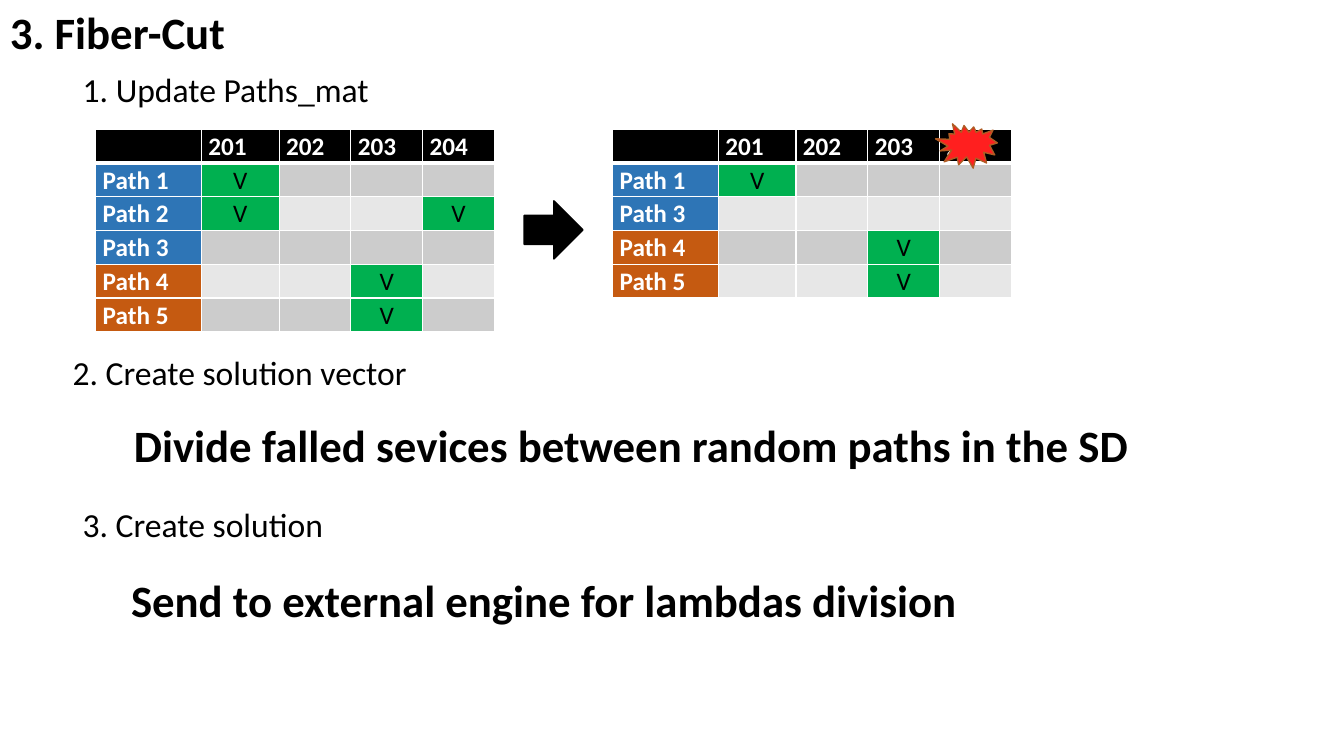
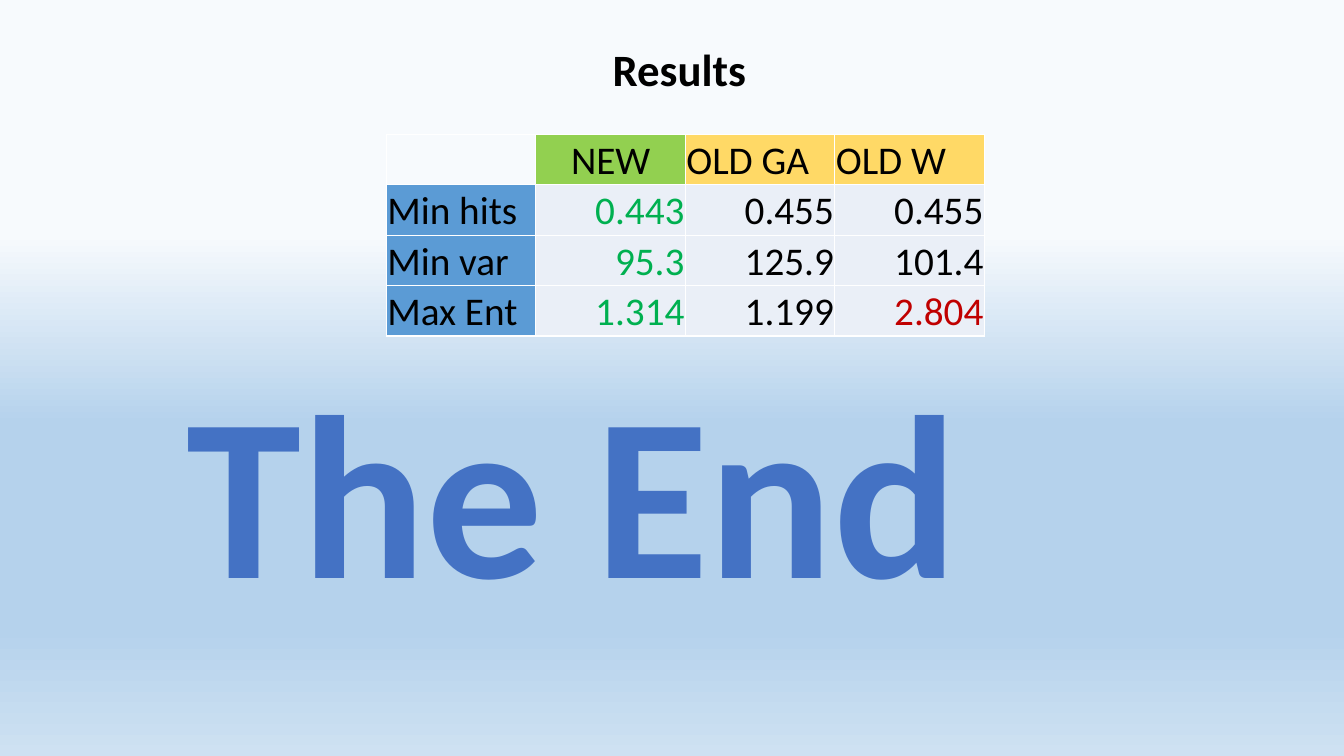
import pptx
import pptx.util
import pptx.dml.color
import pptx.enum.shapes
import pptx.enum.text
import pptx.oxml
import pptx.oxml.ns
import lxml.etree

Pt = pptx.util.Pt
RGB = pptx.dml.color.RGBColor
SHAPE = pptx.enum.shapes.MSO_SHAPE
ALIGN = pptx.enum.text.PP_ALIGN
ANCHOR = pptx.enum.text.MSO_ANCHOR
FIT = pptx.enum.text.MSO_AUTO_SIZE.SHAPE_TO_FIT_TEXT
qn = pptx.oxml.ns.qn

BLACK = RGB(0, 0, 0)
WHITE = RGB(255, 255, 255)
BLUE = RGB(0x2E, 0x75, 0xB6)
RUST = RGB(0xC5, 0x5A, 0x11)
GREEN = RGB(0x00, 0xB0, 0x50)
DARK = RGB(0xCC, 0xCC, 0xCC)
LIGHT = RGB(0xE7, 0xE7, 0xE7)
FLAME = RGB(0xFF, 0x1F, 0x1F)
BROWN = RGB(0xAF, 0x5C, 0x24)
LIME = RGB(0x92, 0xD0, 0x50)
GOLD = RGB(0xFF, 0xD9, 0x66)
SKY = RGB(0x5B, 0x9B, 0xD5)
PALE = RGB(0xEA, 0xEF, 0xF7)
RED = RGB(0xC0, 0, 0)
ROYAL = RGB(0x44, 0x72, 0xC4)

HEAD = {"name": "Calibri", "size": Pt(32), "bold": True}
STEP = {"name": "Calibri", "size": Pt(24), "bold": False}
GIANT = {"name": "Calibri", "size": Pt(166), "bold": True}
NAME = {"name": "Calibri", "size": Pt(18), "bold": True}
MARK = {"name": "Calibri", "size": Pt(18), "bold": False}
VALUE = {"name": "Calibri", "size": Pt(28), "bold": False}

LINE = ('<a:{} xmlns:a="http://schemas.openxmlformats.org/drawingml/2006/main" w="{}">'
        '<a:solidFill><a:srgbClr val="FFFFFF"/></a:solidFill></a:{}>')


def label(slide, text, box, form, wrap=True, color=BLACK, align=ALIGN.LEFT):
    """Add a text box and return its run."""
    frame = slide.shapes.add_textbox(*map(Pt, box)).text_frame
    frame.word_wrap = wrap
    frame.auto_size = FIT
    para = frame.paragraphs[0]
    para.alignment = align
    run = para.add_run()
    run.text = text
    for key, value in form.items():
        setattr(run.font, key, value)
    run.font.color.rgb = color
    return run


def grid(slide, left, top, widths, high, rows, look, space=1.0, rule=1):
    """Add a table of (text, fill, color, align, form) cells; rule is the line under the head."""
    table = slide.shapes.add_table(len(rows), len(widths), Pt(left), Pt(top),
                                   Pt(sum(widths)), Pt(high * len(rows))).table
    table.first_row = table.horz_banding = False
    for col, width in zip(table.columns, widths):
        col.width = Pt(width)
    for r, row in enumerate(rows):
        table.rows[r].height = Pt(high)
        for c, (text, fill, color, align, form) in enumerate(row):
            cell = table.cell(r, c)
            for key, value in look.items():
                setattr(cell, key, value)
            edges = {"lnL": 1, "lnR": 1, "lnT": rule if r == 1 else 1, "lnB": rule if r == 0 else 1}
            for tag, width in edges.items():
                cell._tc.get_or_add_tcPr().append(pptx.oxml.parse_xml(LINE.format(tag, Pt(width), tag)))
            if fill is None:
                cell.fill.background()
            else:
                cell.fill.solid()
                cell.fill.fore_color.rgb = fill
            if not text:
                continue
            para = cell.text_frame.paragraphs[0]
            para.alignment = align
            para.line_spacing = space
            run = para.add_run()
            run.text = text
            for key, value in form.items():
                setattr(run.font, key, value)
            run.font.color.rgb = color


deck = pptx.Presentation()
deck.slide_width = Pt(960)
deck.slide_height = Pt(540)
blank = deck.slide_layouts[6]

# Fiber-cut steps
slide = deck.slides.add_slide(blank)
label(slide, "3. Fiber-Cut", (0, 0, 316, 46), HEAD)
for text, box in [
    ("1. Update Paths_mat", (52, 46, 226, 36)),
    ("2. Create solution vector", (44.8, 248, 261, 36)),
    ("3. Create solution", (52, 356.5, 188, 36)),
]:
    label(slide, text, box, STEP, wrap=False)
for text, left, top in [
    ("Divide falled sevices between random paths in the SD", 88.5, 294.5),
    ("Send to external engine for lambdas division", 86.5, 405.5),
]:
    label(slide, text, (left, top, 732, 46), HEAD)

links = ["201", "202", "203", "204"]
before = {"Path 1": ["201"], "Path 2": ["201", "204"], "Path 3": [],
          "Path 4": ["203"], "Path 5": ["203"]}
after = {path: used for path, used in before.items() if "204" not in used}
look = {"margin_left": Pt(5), "margin_right": Pt(5), "margin_top": 0, "margin_bottom": 0}
for left, paths in [(68.4, before), (437.6, after)]:
    rows = [[(text, BLACK, WHITE, ALIGN.LEFT, NAME) for text in [""] + links]]
    for i, (path, used) in enumerate(paths.items()):
        tint = RUST if path in ("Path 4", "Path 5") else BLUE
        row = [(path, tint, WHITE, ALIGN.LEFT, NAME)]
        for link in links:
            text, fill = ("V", GREEN) if link in used else ("", (DARK, LIGHT)[i % 2])
            row.append((text, fill, BLACK, ALIGN.CENTER, MARK))
        rows.append(row)
    grid(slide, left, 92.4, [75.5, 55.5, 51.3, 51.3, 51.3], 24.1, rows, look, 1.07, 3)

for kind, box, fill, edge, turn in [
    (SHAPE.RIGHT_ARROW, (374.4, 143.5, 42, 41.5), BLACK, BLACK, 0),
    (SHAPE.EXPLOSION2, (669, 85, 42.5, 36.7), FLAME, BROWN, 209.2),
]:
    shape = slide.shapes.add_shape(kind, *map(Pt, box))
    shape.shadow.inherit = False
    shape.rotation = turn
    shape.fill.solid()
    shape.fill.fore_color.rgb = fill
    shape.line.color.rgb = edge
    shape.line.width = Pt(1)

# Results and close
slide = deck.slides.add_slide(blank)
back = slide.background.fill
back.gradient()
back.gradient_angle = 270
stops = slide.background._cSld.find(".//" + qn("a:gsLst"))
for stop in list(stops):
    stops.remove(stop)
for place, color in [(31, "F7FAFD"), (56, "B5D2EC"), (70, "B5D2EC"), (83, "B5D2EC"), (100, "CEE1F2")]:
    stop = lxml.etree.SubElement(stops, qn("a:gs"), pos=str(place * 1000))
    lxml.etree.SubElement(stop, qn("a:srgbClr"), val=color)

label(slide, "Results", (430.5, 26.6, 119, 46), HEAD)
run = label(slide, "The End", (85.7, 243.4, 646.6, 208), GIANT, color=ROYAL, align=ALIGN.CENTER)
run.font._element.insert(0, pptx.oxml.parse_xml(LINE.format("ln", Pt(0.75), "ln")))

rows = [[("", None, BLACK, ALIGN.LEFT, VALUE),
         ("NEW", LIME, BLACK, ALIGN.CENTER, VALUE),
         ("OLD GA", GOLD, BLACK, ALIGN.LEFT, VALUE),
         ("OLD W", GOLD, BLACK, ALIGN.LEFT, VALUE)]]
for name, *values in [
    ("Min hits", "0.443", "0.455", "0.455"),
    ("Min var", "95.3", "125.9", "101.4"),
    ("Max Ent", "1.314", "1.199", "2.804"),
]:
    tints = [GREEN, BLACK, RED if name == "Max Ent" else BLACK]
    rows.append([(name, SKY, BLACK, ALIGN.LEFT, VALUE)]
                + [(text, PALE, tint, ALIGN.RIGHT, VALUE) for text, tint in zip(values, tints)])
look = {"margin_left": Pt(0.7), "margin_right": Pt(0.7), "margin_top": Pt(0.7),
        "margin_bottom": 0, "vertical_anchor": ANCHOR.BOTTOM}
grid(slide, 276, 96, [106.8] * 4, 36, rows, look)

deck.save("out.pptx")
